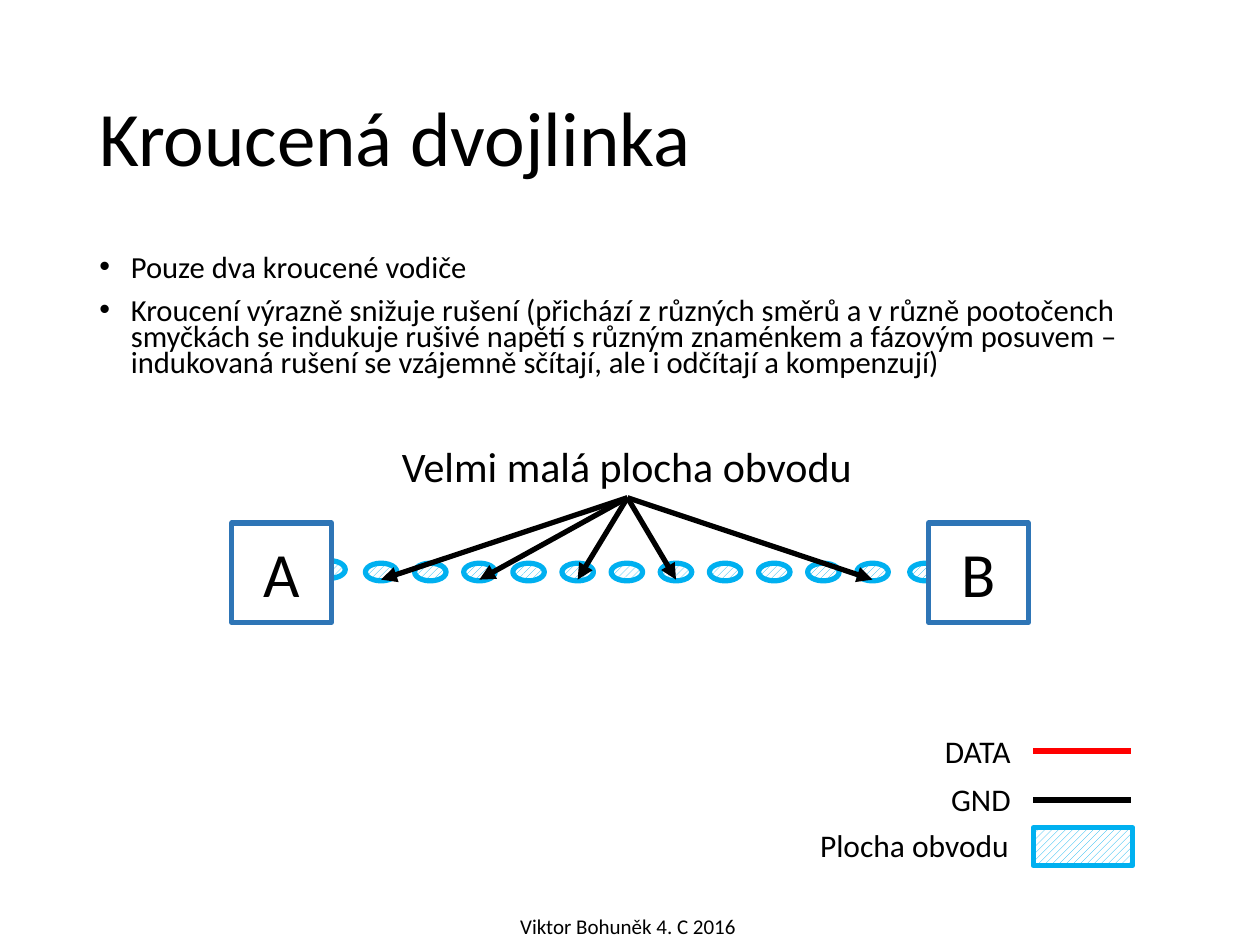
from pptx import Presentation
from pptx.dml.color import RGBColor
from pptx.enum.dml import MSO_PATTERN
from pptx.enum.shapes import MSO_CONNECTOR, MSO_SHAPE
from pptx.enum.text import MSO_ANCHOR, MSO_AUTO_SIZE, PP_ALIGN
from pptx.oxml.ns import qn
from pptx.util import Inches, Pt
from lxml import etree

RECT, OVAL = MSO_SHAPE.RECTANGLE, MSO_SHAPE.OVAL
STRAIGHT = MSO_CONNECTOR.STRAIGHT
HATCH = MSO_PATTERN.WIDE_UPWARD_DIAGONAL
MIDDLE, TOP = MSO_ANCHOR.MIDDLE, MSO_ANCHOR.TOP
LEFT, CENTER = PP_ALIGN.LEFT, PP_ALIGN.CENTER
FIT_SHAPE = MSO_AUTO_SIZE.SHAPE_TO_FIT_TEXT

COLORS = {
    "text": "000000",
    "paper": "FFFFFF",
    "area": "00B0F0",
    "device": "2E75B6",
    "data": "FF0000",
    "gnd": "000000",
}


class SlideBuilder:
    font = "Calibri"
    stroke = Pt(3)

    def __init__(self, slide):
        self.slide = slide

    def color(self, name):
        return RGBColor.from_string(COLORS[name])

    def run(self, p, text, size):
        r = p.add_run()
        r.text = text
        r.font.name = self.font
        r.font.size = Pt(size)
        r.font.color.rgb = self.color("text")

    def text(self, x, y, w, h, text, size, align=LEFT, anchor=TOP, spacing=None):
        """Block text wraps when it has line spacing; labels fit their text."""
        sp = self.slide.shapes.add_textbox(Inches(x), Inches(y), Inches(w), Inches(h))
        tf = sp.text_frame
        tf.vertical_anchor = anchor
        tf.word_wrap = spacing is not None
        if spacing is None:
            tf.auto_size = FIT_SHAPE
        p = tf.paragraphs[0]
        p.alignment = align
        p.line_spacing = spacing
        self.run(p, text, size)

    def bullets(self, x, y, w, h, items, size):
        sp = self.slide.shapes.add_textbox(Inches(x), Inches(y), Inches(w), Inches(h))
        tf = sp.text_frame
        tf.word_wrap = True
        for i, item in enumerate(items):
            p = tf.add_paragraph() if i else tf.paragraphs[0]
            pPr = p._p.get_or_add_pPr()
            pPr.set("marL", str(Inches(0.25)))
            pPr.set("indent", str(-Inches(0.25)))
            etree.SubElement(pPr, qn("a:buFont"), typeface="Arial")
            etree.SubElement(pPr, qn("a:buChar"), char="•")
            p.line_spacing = 0.7
            if i:
                p.space_before = Pt(10)
            self.run(p, item, size)

    def shape(self, kind, x, y, w, h, line):
        sp = self.slide.shapes.add_shape(kind, Inches(x), Inches(y), Inches(w), Inches(h))
        sp.shadow.inherit = False
        sp.line.color.rgb = self.color(line)
        sp.line.width = self.stroke
        return sp

    def hatched(self, kind, x, y, w, h):
        fill = self.shape(kind, x, y, w, h, "area").fill
        fill.patterned()
        fill.pattern = HATCH
        fill.fore_color.rgb = self.color("area")
        fill.back_color.rgb = self.color("paper")

    def loop(self, x, y):
        self.hatched(OVAL, x, y, 0.25, 0.14)

    def device(self, x, y, name):
        sp = self.shape(RECT, x, y, 0.79, 0.79, "device")
        sp.fill.solid()
        sp.fill.fore_color.rgb = self.color("paper")
        tf = sp.text_frame
        tf.vertical_anchor = MIDDLE
        p = tf.paragraphs[0]
        p.alignment = CENTER
        self.run(p, name, 36)

    def line(self, x1, y1, x2, y2, color, arrow=False):
        s = self.slide.shapes.add_connector(
            STRAIGHT, Inches(x1), Inches(y1), Inches(x2), Inches(y2))
        s.line.color.rgb = self.color(color)
        s.line.width = self.stroke
        if arrow:
            etree.SubElement(s.line._get_or_add_ln(), qn("a:tailEnd"), type="triangle")
        etree.SubElement(s._element.spPr, qn("a:effectLst"))


def main():
    prs = Presentation()
    prs.slide_width, prs.slide_height = Inches(10), Inches(7.5)
    s = SlideBuilder(prs.slides.add_slide(prs.slide_layouts[6]))

    # Title and explanation
    s.text(0.69, 0.4, 8.62, 1.45, "Kroucená dvojlinka", 44, anchor=MIDDLE, spacing=0.9)
    s.bullets(0.69, 2, 8.62, 1.19, [
        "Pouze dva kroucené vodiče",
        "Kroucení výrazně snižuje rušení (přichází z různých směrů a v různě "
        "pootočench smyčkách se indukuje rušivé napětí s různým znaménkem a "
        "fázovým posuvem – indukovaná rušení se vzájemně sčítají, ale i "
        "odčítají a kompenzují)",
    ], 17.5)

    # Legend
    s.line(8.2, 5.96, 8.98, 5.96, "data")
    s.line(8.2, 6.35, 8.98, 6.35, "gnd")
    s.hatched(RECT, 8.2, 6.57, 0.79, 0.3)
    for x, y, w, label in [(7.4, 5.76, 0.73, "DATA"), (7.45, 6.14, 0.68, "GND"),
                           (6.41, 6.51, 1.72, "Plocha obvodu")]:
        s.text(x, y, w, 0.4, label, 18)

    # End loops, partly covered by the two devices
    s.loop(2.49, 4.45)
    s.loop(7.22, 4.47)
    s.device(1.84, 4.15, "A")
    s.device(7.37, 4.15, "B")

    # Loops of the twisted pair
    first, pitch = 2.9, 0.39
    for i in range(11):
        s.loop(first + i * pitch, 4.47)

    # Caption with arrows to some of the loops
    s.text(3.07, 3.45, 3.81, 0.5, "Velmi malá plocha obvodu", 24, align=CENTER)
    for i in (6, 4, 10, 2, 0):
        s.line(4.98, 3.95, first + i * pitch + 0.125, 4.6, "gnd", arrow=True)

    # Footer
    s.text(4.03, 7.2, 1.93, 0.3, "Viktor Bohuněk 4. C 2016", 12)

    prs.save("out.pptx")


if __name__ == "__main__":
    main()
